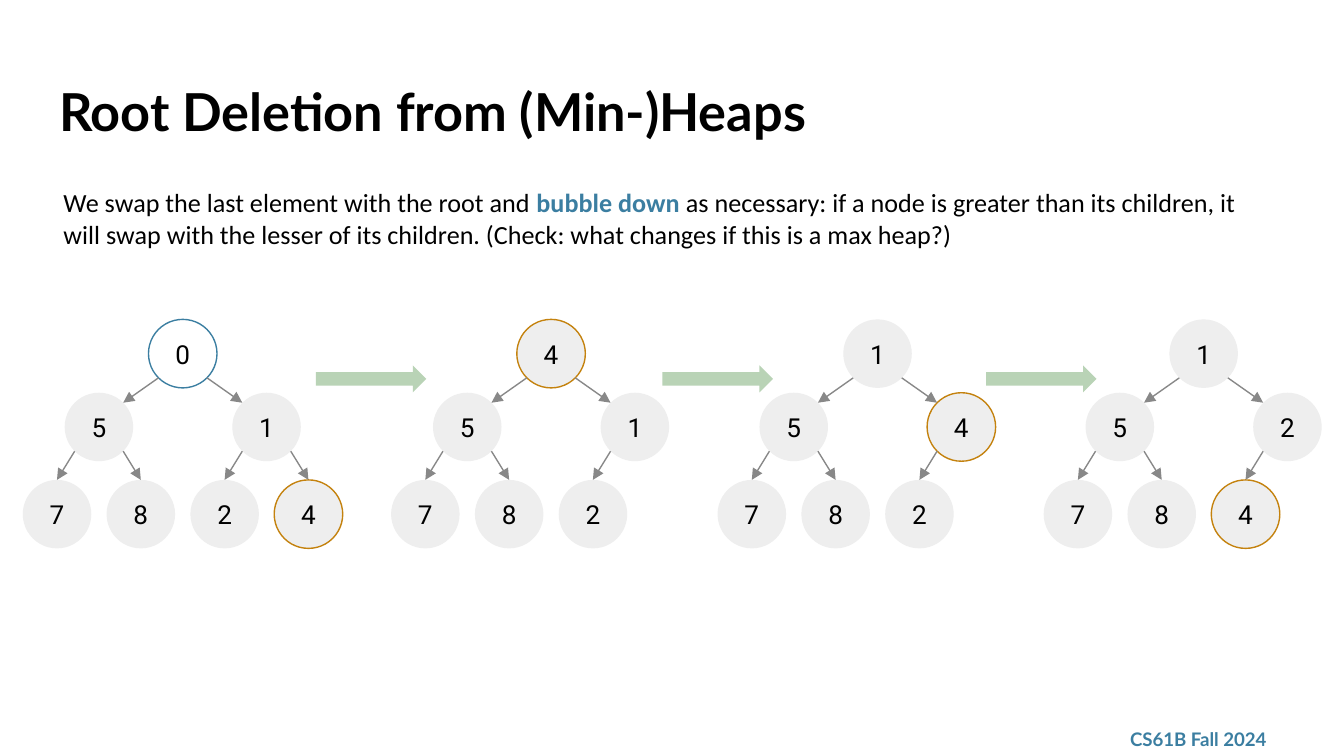
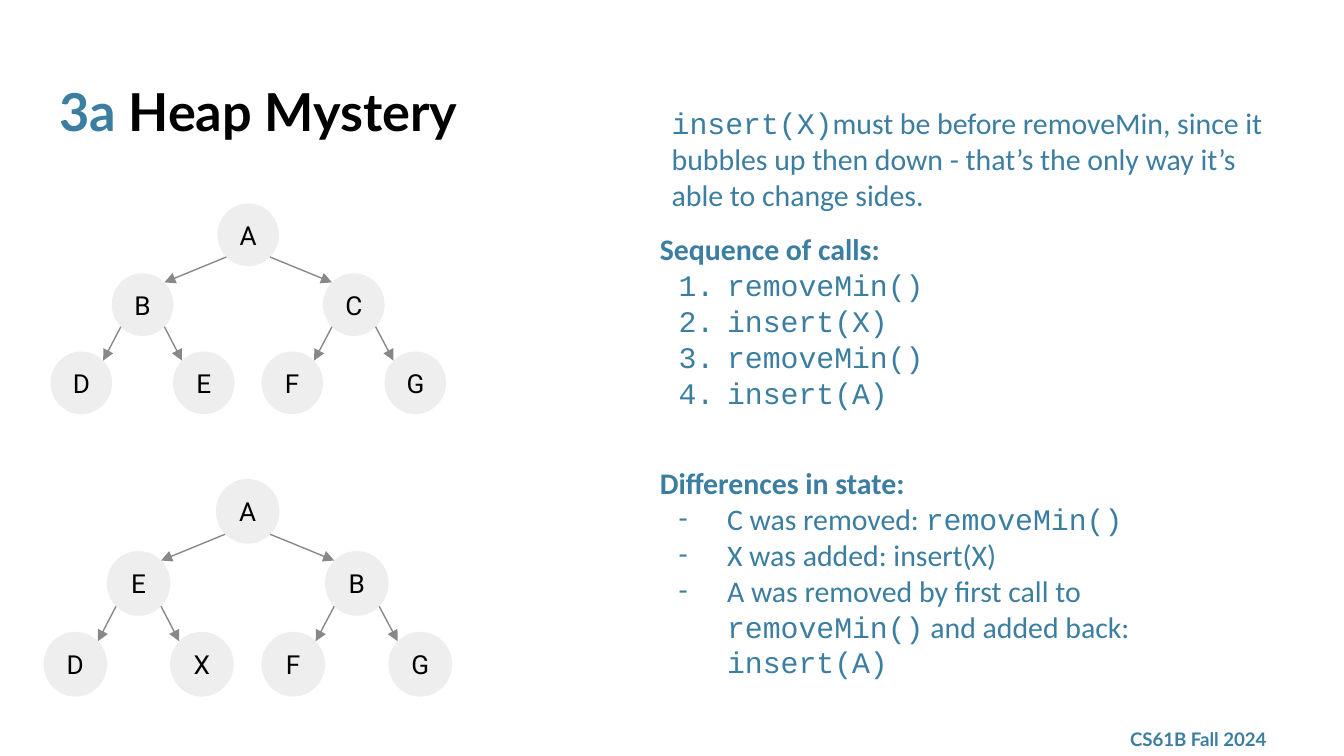
from dataclasses import dataclass

from lxml import etree
from pptx import Presentation
from pptx.dml.color import RGBColor
from pptx.enum.shapes import MSO_CONNECTOR, MSO_SHAPE
from pptx.enum.text import MSO_ANCHOR, MSO_AUTO_SIZE, PP_ALIGN
from pptx.oxml.ns import qn
from pptx.util import Pt

LEFT, CENTER = PP_ALIGN.LEFT, PP_ALIGN.CENTER
TOP, MIDDLE = MSO_ANCHOR.TOP, MSO_ANCHOR.MIDDLE
FIXED, GROW = MSO_AUTO_SIZE.NONE, MSO_AUTO_SIZE.SHAPE_TO_FIT_TEXT
DISC, OVAL = MSO_SHAPE.FLOWCHART_CONNECTOR, MSO_SHAPE.OVAL
ARROW, STRAIGHT = MSO_SHAPE.RIGHT_ARROW, MSO_CONNECTOR.STRAIGHT


@dataclass(frozen=True)
class Theme:
    black: str = "000000"
    white: str = "FFFFFF"
    blue: str = "3B7EA1"
    gold: str = "C4820E"
    gray: str = "EEEEEE"
    edge: str = "888888"
    green: str = "B9D3B6"
    head: str = "Lato"
    body: str = "Calibri"
    code: str = "Courier New"
    node: str = "Roboto"
    title: int = 28
    list: int = 16
    text: int = 14
    foot: int = 10
    line: float = 0.75
    inset: float = 7.2
    indent: int = 36
    hang: int = 26


@dataclass(frozen=True)
class Form:
    """Measures of a three-level tree, relative to its top left corner."""
    kind: int
    size: tuple
    rows: tuple
    leaves: tuple
    top_end: bool  # leaf edges end at the top of the leaf


T = Theme()
HEAP = Form(DISC, (36.7, 36.7), (0, 39.3, 86), (0, 44.9, 89.8, 134.7), True)
WIDE = Form(OVAL, (33, 33.6), (0, 37.4, 79.3), (0, 65.6, 113, 178.9), False)
CORNER = 0.146  # share of an oval's box outside its diagonal points


# Text helpers
def run(par, text, font=T.body, size=T.text, color=T.black, bold=False):
    part = par.add_run()
    part.text = text
    part.font.name, part.font.size, part.font.bold = font, Pt(size), bold
    part.font.color.rgb = RGBColor.from_string(color)


def bullet(par, mark, font):
    props = par._p.get_or_add_pPr()
    props.set("marL", str(Pt(T.indent if mark else 0)))
    props.set("indent", str(-Pt(T.hang) if mark else 0))
    if not mark:
        etree.SubElement(props, qn("a:buNone"))
        return
    etree.SubElement(props, qn("a:buFont"), typeface=font)
    if mark == "1.":
        etree.SubElement(props, qn("a:buAutoNum"), type="arabicPeriod")
    else:
        etree.SubElement(props, qn("a:buChar"), char=mark)


def write(shape, pars, align=LEFT, anchor=TOP, fit=FIXED):
    """Fill a shape with paragraphs, each a mark and a list of runs."""
    frame = shape.text_frame
    frame.word_wrap, frame.auto_size = True, fit
    frame.vertical_anchor = anchor
    for side in ("left", "top", "right", "bottom"):
        setattr(frame, f"margin_{side}", Pt(T.inset))
    for num, (mark, runs) in enumerate(pars):
        par = frame.add_paragraph() if num else frame.paragraphs[0]
        bullet(par, mark, runs[0][1].get("font", T.body))
        par.alignment, par.space_before = align, Pt(0)
        for text, form in runs:
            run(par, text, **form)


def place(shape, box):
    shape.left, shape.top, shape.width, shape.height = map(Pt, box)
    return shape


# Shape helpers
def block(shapes, kind, box, fill, line=None):
    shape = shapes.add_shape(kind, *map(Pt, box))
    shape.shadow.inherit = False
    shape.fill.solid()
    shape.fill.fore_color.rgb = RGBColor.from_string(fill)
    if line:
        shape.line.color.rgb = RGBColor.from_string(line)
        shape.line.width = Pt(T.line)
    else:
        shape.line.fill.background()
    return shape


def edge(shapes, start, end):
    link = shapes.add_connector(STRAIGHT, *map(Pt, start + end))
    link.line.color.rgb = RGBColor.from_string(T.edge)
    link.line.width = Pt(T.line)
    etree.SubElement(link.line._get_or_add_ln(), qn("a:tailEnd"), type="triangle")
    etree.SubElement(link._element.spPr, qn("a:effectLst"))
    return link


def tree(slide, left, top, labels, form, marks=None, scale=1):
    """Draw a heap whose labels come level by level."""
    shapes = slide.shapes.add_group_shape().shapes
    wide, high = (side * scale for side in form.size)
    a, b, c, d = form.leaves
    inner = ((a + b) / 2, (c + d) / 2)
    xs = [left + x * scale for x in (sum(inner) / 2, *inner, *form.leaves)]
    ys = [top + form.rows[lvl] * scale for lvl in (0, 1, 1, 2, 2, 2, 2)]

    # Nodes
    nodes = []
    for num, label in enumerate(labels):
        fill, line = (marks or {}).get(num, (T.gray, None))
        node = block(shapes, form.kind, (xs[num], ys[num], wide, high), fill, line)
        write(node, [("", [(label, dict(font=T.node))])], CENTER, MIDDLE)
        nodes.append(node)

    # Edges from parent to child
    for kid in range(1, len(labels)):
        dad, odd = (kid - 1) // 2, kid % 2
        near, far = (CORNER, 1 - CORNER) if odd else (1 - CORNER, CORNER)
        link = edge(shapes,
                    (xs[dad] + near * wide, ys[dad] + (1 - CORNER) * high),
                    (xs[kid] + far * wide, ys[kid] + CORNER * high))
        if form.top_end and kid > 2:
            link.end_connect(nodes[kid], 0)


# Parts shared by the slides
def footer(prs, slide):
    """Move one footer text box to the master."""
    box = slide.shapes.add_textbox(*map(Pt, (598.3, 386.6, 97.2, 18.7)))
    form = dict(font=T.head, size=T.foot, color=T.blue, bold=True)
    write(box, [("", [("CS61B Fall 2024", form)])], anchor=MIDDLE)
    prs.slide_master.shapes._spTree.append(box._element)


def title(slide, *parts):
    shape = place(slide.shapes.title, (24.5, 35.3, 671, 45.4))
    write(shape, [("", [(text, dict(font=T.head, size=T.title, color=color, bold=True))
                        for text, color in parts])])


# Slide: root deletion
def delete(slide):
    title(slide, ("Root Deletion from (Min-)Heaps", T.black))
    gold = (T.gray, T.gold)
    steps = [
        (12.2, "0517824", {0: (T.white, T.blue), 6: gold}),
        (209.5, "451782", {0: gold}),
        (384.4, "154782", {2: gold}),
        (559.1, "152784", {5: gold}),
    ]
    for left, labels, marks in steps:
        tree(slide, left, 171.1, labels, HEAP, marks)
    for left in (169.2, 354.9, 528.3):
        block(slide.shapes, ARROW, (left, 195.8, 59.2, 14.4), T.green)
    body = place(slide.placeholders[1], (26.8, 92.9, 662.4, 65.5))
    write(body, [("", [
        ("We swap the last element with the root and ", {}),
        ("bubble down", dict(color=T.blue, bold=True)),
        (" as necessary: if a node is greater than its children, it will swap "
         "with the lesser of its children. (Check: what changes if this is a "
         "max heap?)", {}),
    ])], fit=GROW)


# Slide: heap mystery
def mystery(slide):
    title(slide, ("3a", T.blue), (" Heap Mystery", T.black))
    tree(slide, 27.1, 109, "ABCDEFG", WIDE)
    tree(slide, 23.3, 256.6, "AEBDXFG", WIDE, scale=1.033)

    plain = dict(size=T.list, color=T.blue)
    bold = dict(plain, bold=True)
    code = dict(plain, font=T.code)
    note = slide.shapes.add_textbox(*map(Pt, (352.8, 48.9, 336.2, 72.7)))
    write(note, [("", [
        ("insert(X)", code),
        ("must be before removeMin, since it bubbles up then down - that’s "
         "the only way it’s able to change sides.", plain),
    ])], fit=GROW)

    calls = ("removeMin()", "insert(X)", "removeMin()", "insert(A)")
    order = place(slide.placeholders[1], (346.3, 116.5, 336.2, 111.6))
    write(order, [("", [("Sequence of calls:", bold)])]
          + [("1.", [(call, code)]) for call in calls], fit=GROW)

    state = place(slide.placeholders[2], (346.3, 241.9, 336.2, 131))
    write(state, [
        ("", [("Differences in state:", bold)]),
        ("-", [("C was removed: ", plain), ("removeMin()", code)]),
        ("-", [("X was added: insert(X)", plain)]),
        ("-", [("A was removed by first call to ", plain), ("removeMin()", code),
               (" and added back: ", plain), ("insert(A)", code)]),
    ], fit=GROW)


def main():
    prs = Presentation()
    prs.slide_width, prs.slide_height = Pt(720), Pt(405)
    first = prs.slides.add_slide(prs.slide_layouts[1])
    footer(prs, first)
    delete(first)
    mystery(prs.slides.add_slide(prs.slide_layouts[3]))
    prs.save("out.pptx")


if __name__ == "__main__":
    main()
